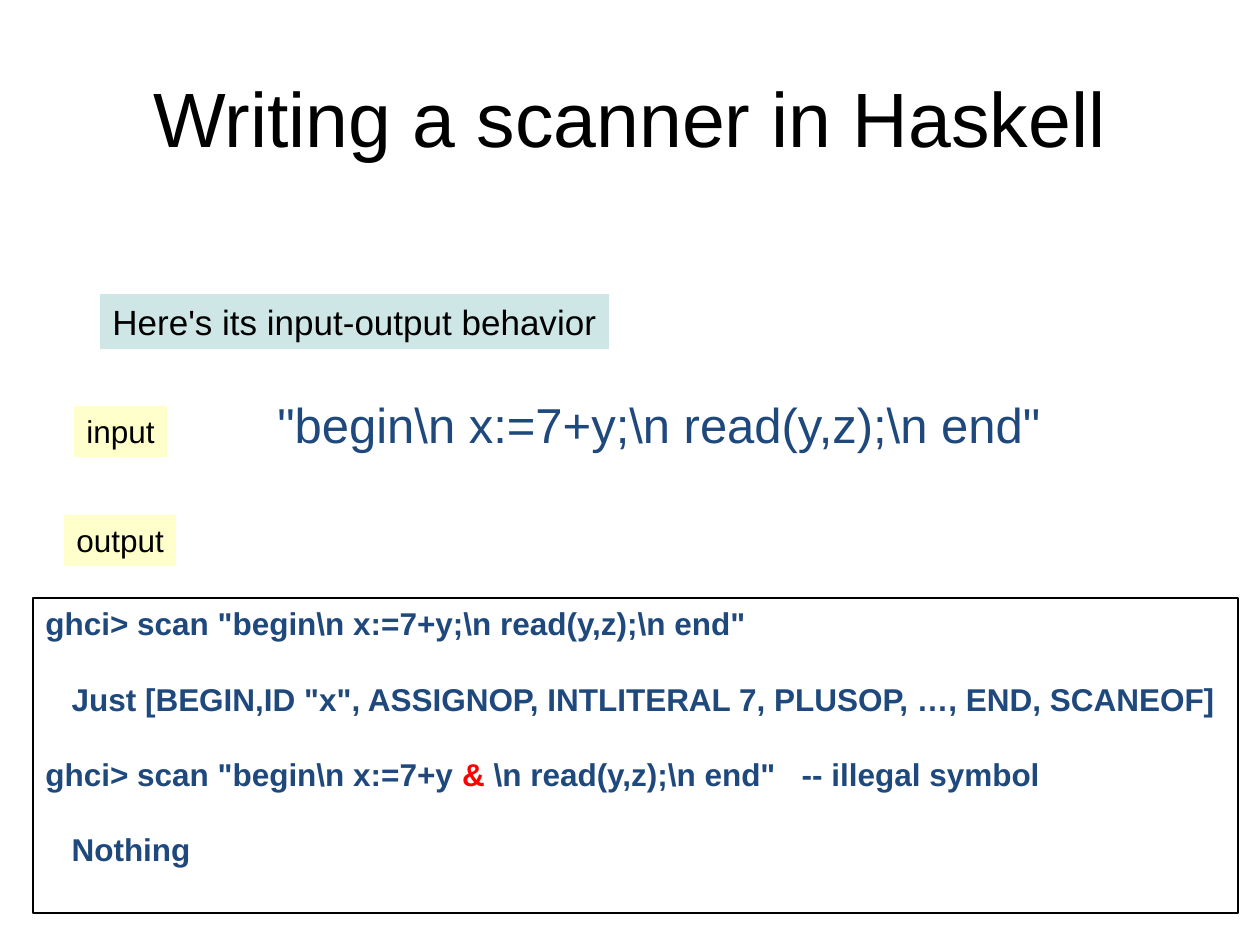
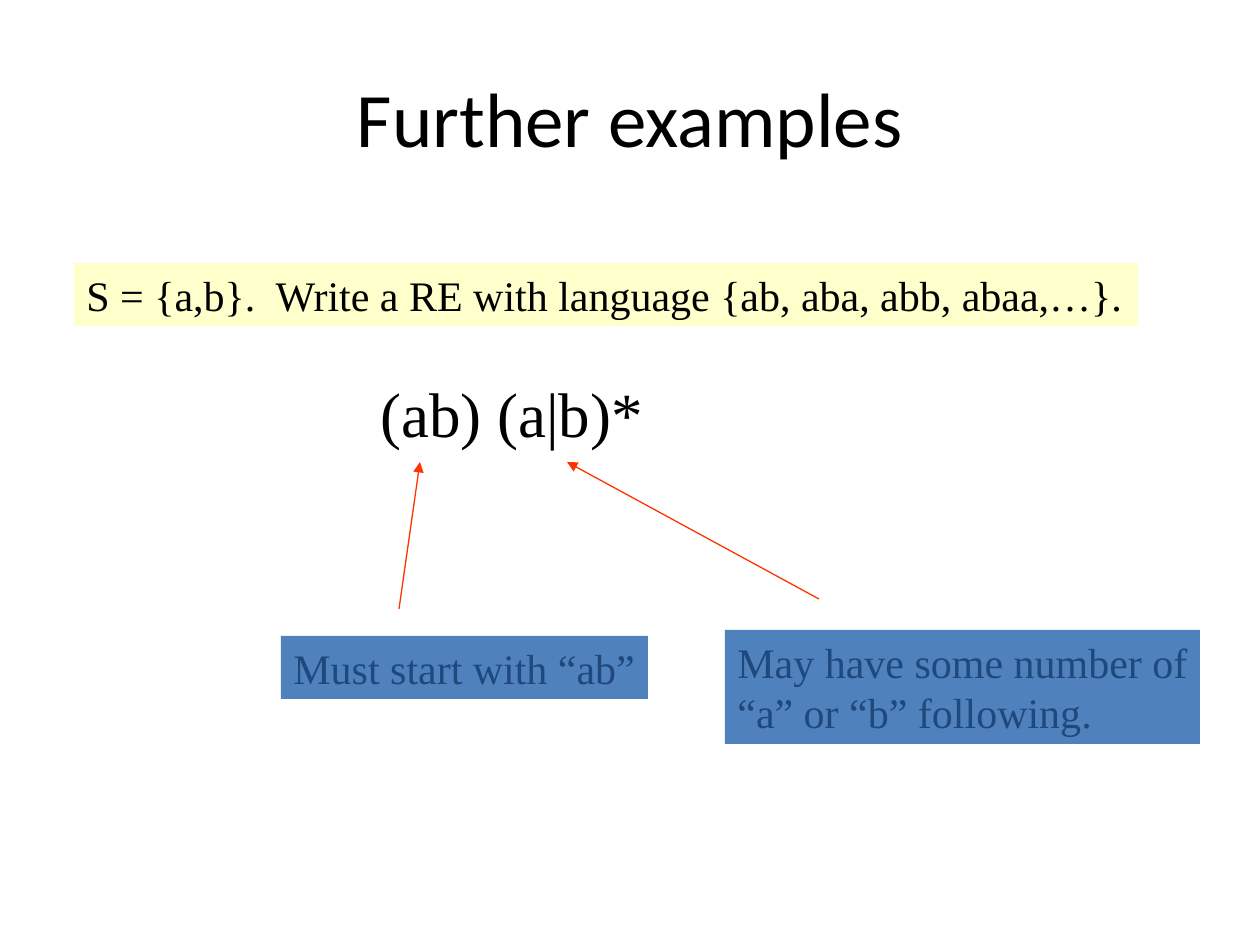
from lxml.etree import SubElement
from pptx import Presentation
from pptx.dml.color import RGBColor
from pptx.enum.shapes import MSO_CONNECTOR, MSO_SHAPE
from pptx.enum.text import MSO_ANCHOR, PP_ALIGN
from pptx.oxml.ns import qn
from pptx.util import Emu, Inches, Pt

PX_PER_INCH = 126
COLOURS = {
    "black": "000000",
    "navy": "1F497D",
    "yellow": "FFFFCC",
    "mint": "CEE7E6",
    "blue": "4F81BD",
    "error": "FF0000",
    "arrow": "FF3300",
}
TITLE_BOX = (63, 38, 1134, 157)
SANS, SERIF = "Arial", "Times New Roman"


def px(length):
    return Emu(round(length * 914400 / PX_PER_INCH))


def colour(name):
    return RGBColor.from_string(COLOURS[name])


def style(paragraph, font, size, ink="black", bold=False):
    paragraph.font.name = font
    paragraph.font.size = Pt(size)
    paragraph.font.bold = bold
    paragraph.font.color.rgb = colour(ink)


def add_titled_slide(deck, heading, font):
    slide = deck.slides.add_slide(deck.slide_layouts[5])
    title = slide.shapes.title
    title.left, title.top, title.width, title.height = map(px, TITLE_BOX)
    title.text_frame.text = heading
    title.text_frame.vertical_anchor = MSO_ANCHOR.MIDDLE
    title.text_frame.paragraphs[0].alignment = PP_ALIGN.CENTER
    style(title.text_frame.paragraphs[0], font, 44)
    return slide


def add_label(slide, box, lines, font, size, ink="black", fill=None,
              outline=None, bold=False, gap=0):
    """Left-aligned lines in a box; a line is a list of (text, colour) runs or a string."""
    place = [px(length) for length in box]
    if fill or outline:
        label = slide.shapes.add_shape(MSO_SHAPE.RECTANGLE, *place)
        label.shadow.inherit = False
        if fill:
            label.fill.solid()
            label.fill.fore_color.rgb = colour(fill)
        else:
            label.fill.background()
        if outline:
            label.line.color.rgb = colour(outline)
            label.line.width = Pt(0.75)
        else:
            label.line.fill.background()
    else:
        label = slide.shapes.add_textbox(*place)

    frame = label.text_frame
    frame.word_wrap = False
    frame.vertical_anchor = MSO_ANCHOR.TOP
    for index, line in enumerate(lines):
        paragraph = frame.add_paragraph() if index else frame.paragraphs[0]
        paragraph.alignment = PP_ALIGN.LEFT
        if index and gap:
            paragraph.space_before = Pt(gap)
        style(paragraph, font, size, ink, bold)
        for text, run_ink in [(line, ink)] if isinstance(line, str) else line:
            run = paragraph.add_run()
            run.text = text
            run.font.color.rgb = colour(run_ink)


def add_arrow(slide, start, end):
    arrow = slide.shapes.add_connector(
        MSO_CONNECTOR.STRAIGHT, *map(px, start + end))
    arrow.line.color.rgb = colour("arrow")
    arrow.line.width = Pt(0.75)
    SubElement(arrow.line._get_or_add_ln(), qn("a:tailEnd"), type="triangle")
    SubElement(arrow._element.spPr, qn("a:effectLst"))


def add_ghci_session(slide, box):
    session = [
        r'ghci> scan "begin\n x:=7+y;\n read(y,z);\n end"',
        '   Just [BEGIN,ID "x", ASSIGNOP, INTLITERAL 7, PLUSOP, …, END, SCANEOF]',
        [(r'ghci> scan "begin\n x:=7+y ', "navy"),
         ("&", "error"),
         (r' \n read(y,z);\n end"   -- illegal symbol', "navy")],
        "   Nothing",
    ]
    add_label(slide, box, session, SANS, 18, "navy",
              outline="black", bold=True, gap=21.5)


def build_scanner_slide(deck):
    slide = add_titled_slide(deck, "Writing a scanner in Haskell", SANS)
    add_label(slide, (100, 294, 509, 55), ["Here's its input-output behavior"],
              SANS, 20, fill="mint")
    # Input
    add_label(slide, (74, 406, 93, 51), ["input"], SANS, 18, fill="yellow")
    add_label(slide, (265, 388, 791, 72),
              [r'"begin\n x:=7+y;\n read(y,z);\n end"'], SANS, 28, "navy")
    # Output
    add_label(slide, (64, 515, 112, 51), ["output"], SANS, 18, fill="yellow")
    add_ghci_session(slide, (33, 598, 1205, 315))


def build_examples_slide(deck):
    slide = add_titled_slide(deck, "Further examples", "Calibri")
    # Exercise and its answer
    add_label(slide, (74, 263, 1064, 63),
              ["S = {a,b}.  Write a RE with language {ab, aba, abb, abaa,…}."],
              SERIF, 24, fill="yellow")
    add_label(slide, (368, 368, 296, 88), ["(ab) (a|b)*"], SERIF, 36)
    # Explanations pointing at the parts of the answer
    add_arrow(slide, (399, 609), (420, 462))
    add_arrow(slide, (819, 599), (567, 462))
    add_label(slide, (281, 636, 367, 63), ["Must start with “ab”"],
              SERIF, 24, "navy", fill="blue")
    add_label(slide, (725, 630, 475, 114),
              ["May have some number of", "“a” or “b” following."],
              SERIF, 24, "navy", fill="blue")


def main():
    deck = Presentation()
    deck.slide_width, deck.slide_height = Inches(10), Inches(7.5)
    build_scanner_slide(deck)
    build_examples_slide(deck)
    deck.save("out.pptx")


if __name__ == "__main__":
    main()
